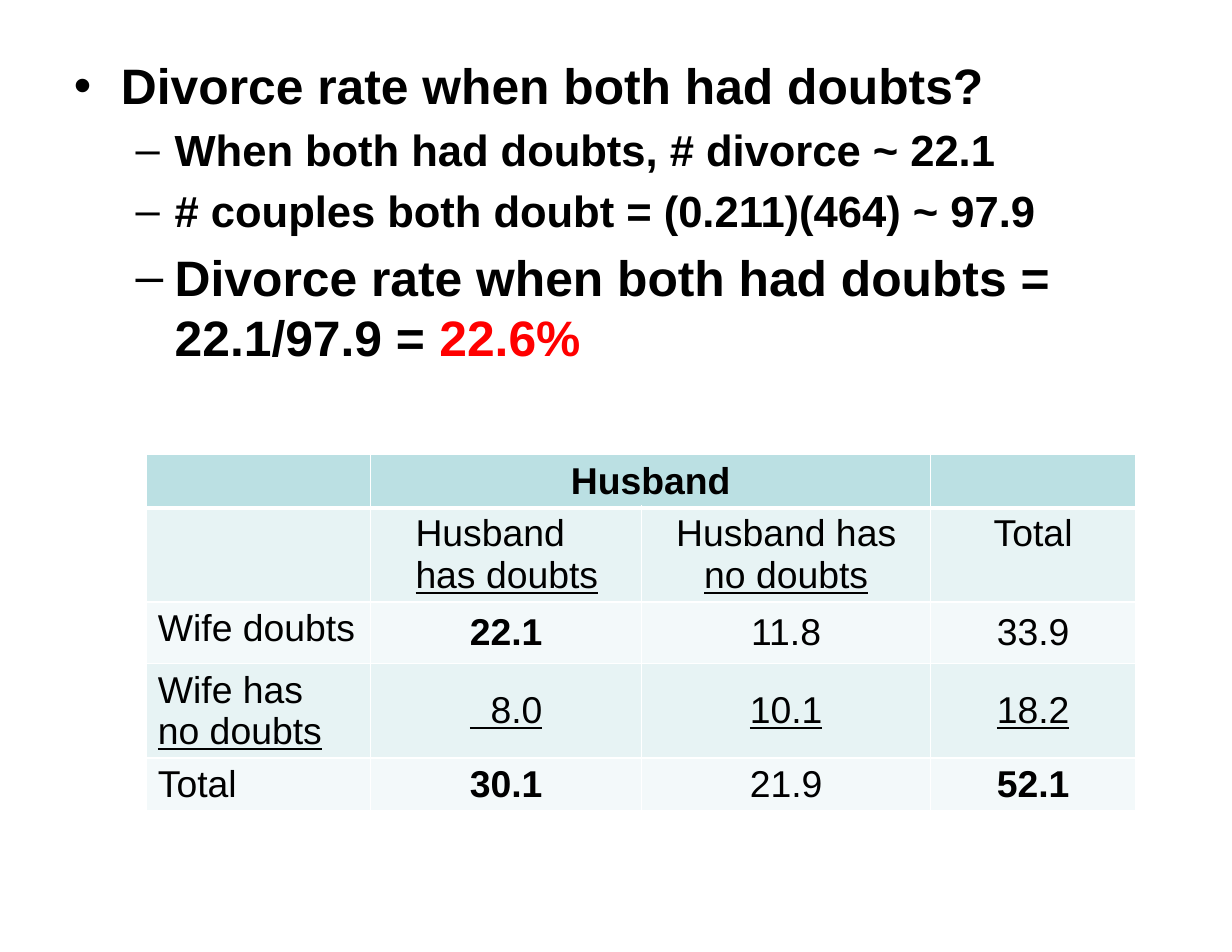
from dataclasses import dataclass

from lxml.etree import SubElement
from pptx import Presentation
from pptx.dml.color import RGBColor
from pptx.enum.text import MSO_ANCHOR, MSO_AUTO_SIZE, PP_ALIGN
from pptx.oxml.ns import qn
from pptx.util import Inches, Pt


@dataclass(frozen=True)
class Theme:
    font: str = "Arial"
    ink: str = "000000"
    accent: str = "FF0000"
    paper: str = "FFFFFF"
    header: str = "BBE0E3"
    bands: tuple = ("E7F3F4", "F3F9FA")
    large: int = 32
    medium: int = 28
    table: int = 24


THEME = Theme()

# level, size, spans of (text, colour)
BULLETS = [
    (0, THEME.large, [("Divorce rate when both had doubts?", THEME.ink)]),
    (1, THEME.medium, [("When both had doubts, # divorce ~ 22.1", THEME.ink)]),
    (1, THEME.medium, [("# couples both doubt = (0.211)(464) ~ 97.9", THEME.ink)]),
    (1, THEME.large, [("Divorce rate when both had doubts = 22.1/97.9 = ", THEME.ink),
                      ("22.6%", THEME.accent)]),
]
# bullet sign, left margin, first-line indent by level
LEVELS = [("•", 0.42, -0.42), ("–", 0.9, -0.35)]

# A cell is its lines of text; UNDERLINED and BOLD list the cells by (row, column).
ROWS = [
    [[], ["Husband"], [], []],
    [[], ["Husband", "has doubts"], ["Husband has", "no doubts"], ["Total"]],
    [["Wife doubts"], ["22.1"], ["11.8"], ["33.9"]],
    [["Wife has", "no doubts"], ["  8.0"], ["10.1"], ["18.2"]],
    [["Total"], ["30.1"], ["21.9"], ["52.1"]],
]
UNDERLINED = {(1, 1), (1, 2), (3, 0), (3, 1), (3, 2), (3, 3)}
BOLD = {(0, 1), (2, 1), (4, 1), (4, 3)}
COLUMN_WIDTHS = [2, 2.42, 2.58, 1.83]
ROW_HEIGHTS = [0.47, 0.84, 0.55, 0.84, 0.47]


def fill_solid(target, colour):
    target.fill.solid()
    target.fill.fore_color.rgb = RGBColor.from_string(colour)


def add_span(para, text, size, colour=THEME.ink, **formats):
    span = para.add_run()
    span.text = text
    span.font.color.rgb = RGBColor.from_string(colour)
    for name, value in {"name": THEME.font, "size": Pt(size), **formats}.items():
        setattr(span.font, name, value)


def set_indent(para, left, first=0):
    properties = para._p.get_or_add_pPr()
    properties.set("marL", str(Inches(left)))
    properties.set("indent", str(Inches(first)))
    return properties


def fill_body(box):
    for name, value in zip(("left", "top", "width", "height"), (0.55, 0.43, 9.9, 7.22)):
        setattr(box, name, Inches(value))
    fill_solid(box, THEME.paper)
    frame = box.text_frame
    formats = {"margin_left": Inches(0.11), "margin_right": Inches(0.11),
               "margin_top": Inches(0.06), "margin_bottom": Inches(0.06),
               "word_wrap": True, "auto_size": MSO_AUTO_SIZE.NONE,
               "vertical_anchor": MSO_ANCHOR.TOP}
    for name, value in formats.items():
        setattr(frame, name, value)
    for index, (level, size, spans) in enumerate(BULLETS):
        para = frame.add_paragraph() if index else frame.paragraphs[0]
        para.level = level
        sign, left, first = LEVELS[level]
        properties = set_indent(para, left, first)
        before = SubElement(properties, qn("a:spcBef"))
        SubElement(before, qn("a:spcPct")).set("val", "20000")
        SubElement(properties, qn("a:buChar")).set("char", sign)
        for text, colour in spans:
            add_span(para, text, size, colour, bold=True)


def set_borders(cell, bottom):
    """Draw white cell borders; they must precede the fill in the XML."""
    properties = cell._tc.get_or_add_tcPr()
    for side, width in {"L": 1, "R": 1, "T": 1, "B": bottom}.items():
        line = SubElement(properties, qn(f"a:ln{side}"), w=str(Pt(width)))
        paint = SubElement(line, qn("a:solidFill"))
        SubElement(paint, qn("a:srgbClr")).set("val", THEME.paper)


def fill_cell(cell, row, column, lines):
    set_borders(cell, bottom=1 if row else 3)
    fill_solid(cell, THEME.bands[(row - 1) % 2] if row else THEME.header)
    if row > 1 and column:
        cell.vertical_anchor = MSO_ANCHOR.MIDDLE
    para = cell.text_frame.paragraphs[0]
    para.alignment = PP_ALIGN.CENTER if column else PP_ALIGN.LEFT
    for index, line in enumerate(lines):
        if index:
            para.add_line_break()
        last = index == len(lines) - 1
        add_span(para, line, THEME.table, bold=(row, column) in BOLD,
                 underline=last and (row, column) in UNDERLINED)


def add_doubts_table(page):
    table = page.shapes.add_table(
        len(ROW_HEIGHTS), len(COLUMN_WIDTHS), Inches(1.31), Inches(4.06),
        Inches(sum(COLUMN_WIDTHS)), Inches(sum(ROW_HEIGHTS))).table
    for column, width in zip(table.columns, COLUMN_WIDTHS):
        column.width = Inches(width)
    for row, height in zip(table.rows, ROW_HEIGHTS):
        row.height = Inches(height)
    for row, cells in enumerate(ROWS):
        for column, lines in enumerate(cells):
            fill_cell(table.cell(row, column), row, column, lines)
    table.cell(0, 1).merge(table.cell(0, 2))
    # The two lines of this heading share a left edge.
    heading = table.cell(1, 1).text_frame.paragraphs[0]
    heading.alignment = PP_ALIGN.LEFT
    set_indent(heading, 0.3)


def main():
    deck = Presentation()
    deck.slide_width, deck.slide_height = Inches(11), Inches(8.5)
    page = deck.slides.add_slide(deck.slide_layouts[1])
    title = page.shapes.title._element
    title.getparent().remove(title)
    fill_body(page.placeholders[1])
    add_doubts_table(page)
    deck.save("out.pptx")


if __name__ == "__main__":
    main()
